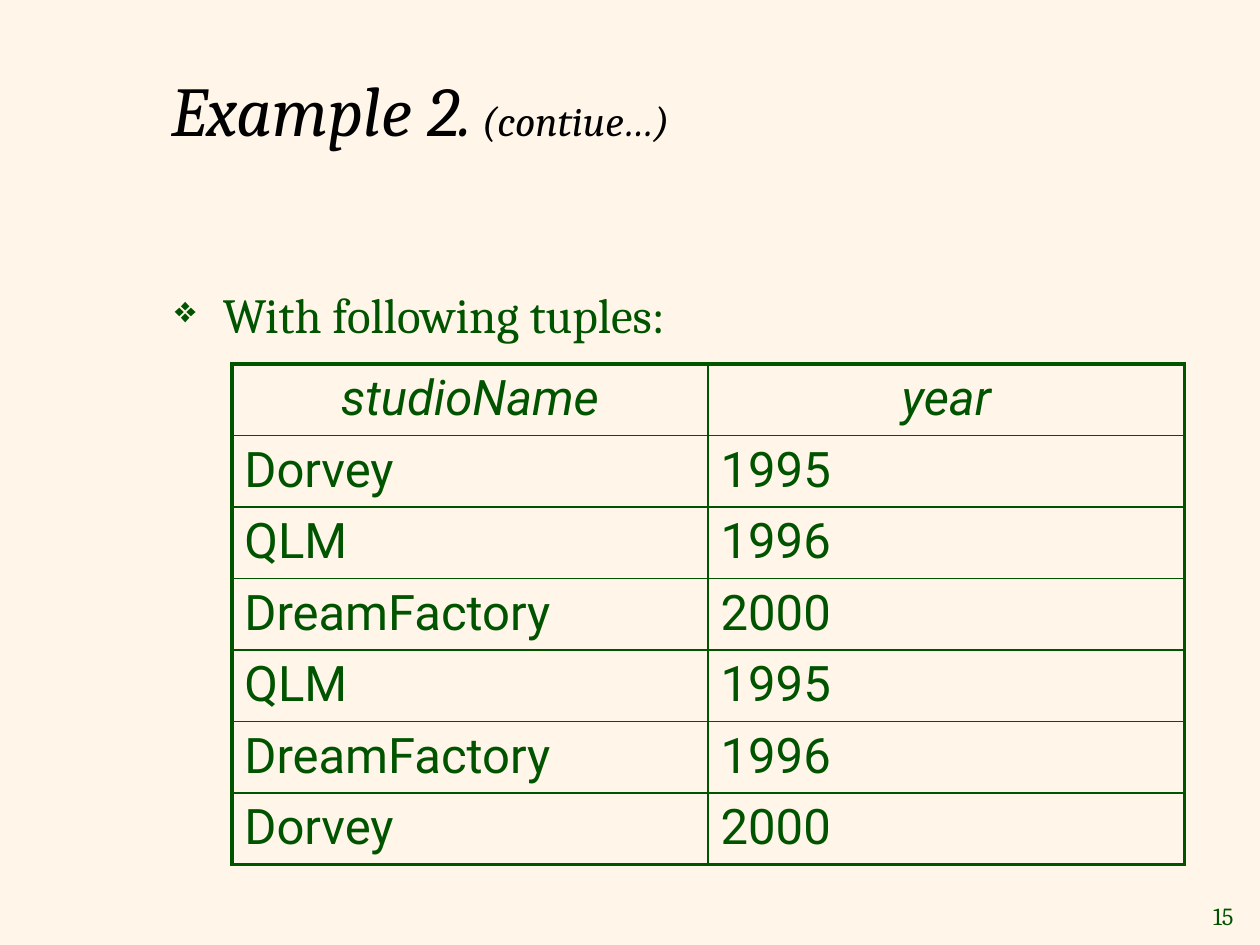
from lxml.etree import SubElement
from pptx import Presentation
from pptx.dml.color import RGBColor
from pptx.enum.text import MSO_ANCHOR, MSO_AUTO_SIZE, PP_ALIGN
from pptx.oxml.ns import qn
from pptx.util import Inches, Pt

COLORS = {"background": "FFF6E9", "title": "000000", "green": "005400"}
TUPLES = [
    ("studioName", "year"),
    ("Dorvey", "1995"),
    ("QLM", "1996"),
    ("DreamFactory", "2000"),
    ("QLM", "1995"),
    ("DreamFactory", "1996"),
    ("Dorvey", "2000"),
]


def add_text(paragraph, text, size, color="green", font="Cambria", italic=False):
    run = paragraph.add_run()
    run.text = text
    run.font.name = font
    run.font.size = Pt(size)
    run.font.italic = italic
    run.font.color.rgb = RGBColor.from_string(COLORS[color])


def add_border(cell, side, width):
    """Draw one side (L, R, T or B) of a cell; call before filling the cell."""
    line = SubElement(cell._tc.get_or_add_tcPr(), qn(f"a:ln{side}"), w=str(Pt(width)))
    fill = SubElement(line, qn("a:solidFill"))
    SubElement(fill, qn("a:srgbClr"), val=COLORS["green"])


presentation = Presentation()
presentation.slide_width = Inches(10)
presentation.slide_height = Inches(7.5)
slide = presentation.slides.add_slide(presentation.slide_layouts[5])
slide.background.fill.solid()
slide.background.fill.fore_color.rgb = RGBColor.from_string(COLORS["background"])

# Title, raised above the middle by its bottom margin
title = slide.shapes.title
title.left, title.top = Inches(1.26), Inches(0.23)
title.width, title.height = Inches(8.52), Inches(1.6)
title_frame = title.text_frame
title_frame.auto_size = MSO_AUTO_SIZE.NONE
title_frame.vertical_anchor = MSO_ANCHOR.MIDDLE
title_frame.margin_bottom = Inches(0.39)
heading = title_frame.paragraphs[0]
heading.alignment = PP_ALIGN.LEFT
add_text(heading, "Example 2.", 40, "title", italic=True)
add_text(heading, " (contiue…)", 24, "title", italic=True)

# Bulleted introduction
introduction = slide.shapes.add_textbox(Inches(1.29), Inches(2.21), Inches(4.87), Inches(0.53))
introduction.text_frame.word_wrap = True
paragraph = introduction.text_frame.paragraphs[0]
properties = paragraph._p.get_or_add_pPr()
properties.set("marL", str(Inches(0.38)))
properties.set("indent", str(-Inches(0.38)))
bullet_color = SubElement(properties, qn("a:buClr"))
SubElement(bullet_color, qn("a:srgbClr"), val=COLORS["green"])
SubElement(properties, qn("a:buSzPct"), val="75000")
SubElement(properties, qn("a:buChar"), char="❖")
add_text(paragraph, "With following tuples:", 28)

# Table of tuples: thick outer frame, thin inner lines
row_count, column_count = len(TUPLES), len(TUPLES[0])
table = slide.shapes.add_table(
    row_count, column_count, Inches(1.84), Inches(2.89), Inches(7.56), Inches(3.89)
).table
table.first_row = False
table.horz_banding = False
for row, values in enumerate(TUPLES):
    for column, value in enumerate(values):
        cell = table.cell(row, column)
        outer_sides = {
            "L": column == 0,
            "R": column == column_count - 1,
            "T": row == 0,
            "B": row == row_count - 1,
        }
        for side, is_outer in outer_sides.items():
            add_border(cell, side, 2.25 if is_outer else 1)
        cell.fill.background()
        paragraph = cell.text_frame.paragraphs[0]
        paragraph.alignment = PP_ALIGN.CENTER if row == 0 else PP_ALIGN.LEFT
        add_text(paragraph, value, 28, font="Roboto", italic=row == 0)

# Slide number
number = slide.shapes.add_textbox(Inches(9.45), Inches(7.1), Inches(0.44), Inches(0.33))
number.text_frame.word_wrap = False
number.text_frame.vertical_anchor = MSO_ANCHOR.MIDDLE
paragraph = number.text_frame.paragraphs[0]
paragraph.alignment = PP_ALIGN.RIGHT
add_text(paragraph, "15", 14)

presentation.save("out.pptx")
